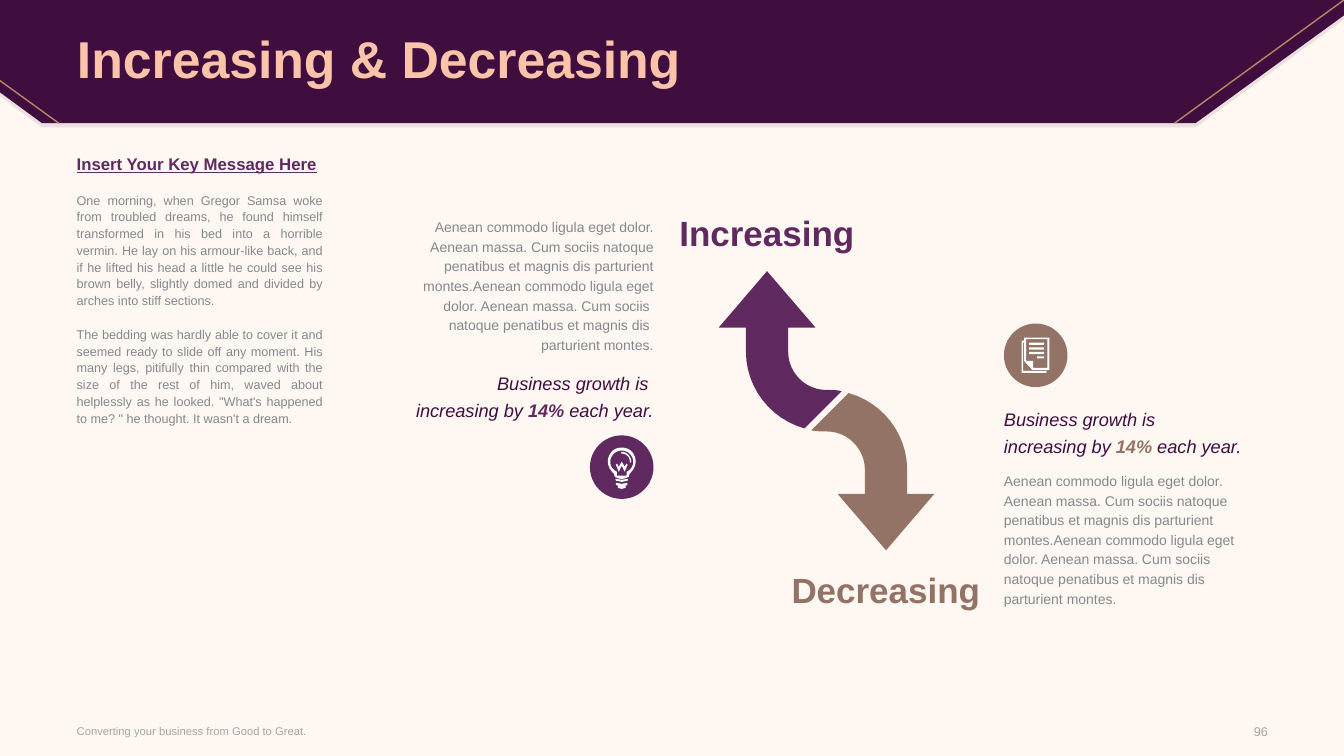
"""Build the Increasing & Decreasing slide."""
from lxml.etree import SubElement
from pptx import Presentation
from pptx.dml.color import RGBColor as RGB
from pptx.enum.shapes import MSO_CONNECTOR as LINE, MSO_SHAPE as SHAPE
from pptx.enum.text import MSO_ANCHOR as ANCHOR, PP_ALIGN as ALIGN
from pptx.oxml.ns import qn
from pptx.util import Pt

COLOR = {
    "cream": "FFF7F2", "deep": "3F0D3E", "plum": "602A60", "brown": "927365",
    "peach": "FBC4AA", "gold": "B98763", "gray": "85898F", "pale": "A6A6A6",
    "white": "FFFFFF",
}
HUE = {name: RGB.from_string(code) for name, code in COLOR.items()}

deck = Presentation()
deck.slide_width, deck.slide_height = Pt(960), Pt(540)
slide = deck.slides.add_slide(deck.slide_layouts[6])
slide.background.fill.solid()
slide.background.fill.fore_color.rgb = HUE["cream"]
shapes = slide.shapes


def draw(paths, hue, axis=None):
    """Fill outlines of points and six-number curves, mirrored at axis if given."""
    build = None
    for path in paths:
        dots = []
        for step in path:
            if len(step) == 2:
                dots.append(step)
                continue
            knots = [dots[-1], step[:2], step[2:4], step[4:]]
            for t in [n / 12 for n in range(1, 13)]:
                parts = ((1 - t) ** 3, 3 * t * (1 - t) ** 2, 3 * t * t * (1 - t), t ** 3)
                dots.append(tuple(sum(w * k[i] for w, k in zip(parts, knots)) for i in (0, 1)))
        if axis:
            dots += [(2 * axis - x, y) for x, y in reversed(dots)]
        dots = [(x * 100, y * 100) for x, y in dots]
        if build:
            build.move_to(*dots[0])
        else:
            build = shapes.build_freeform(*dots[0], scale=Pt(1) / 100)
        build.add_line_segments(dots[1:], close=True)
    shape = build.convert_to_shape()
    shape.shadow.inherit = False
    shape.fill.solid()
    shape.fill.fore_color.rgb = HUE[hue]
    shape.line.fill.background()
    return shape


def write(box, paras, size, hue, align=ALIGN.LEFT, lead=None, gap=0, anchor=ANCHOR.TOP, **style):
    """Set paragraphs of (text, format) runs in a text box."""
    frame = shapes.add_textbox(*map(Pt, box)).text_frame
    frame.word_wrap = True
    frame.vertical_anchor = anchor
    for side in ("left", "top", "right", "bottom"):
        setattr(frame, f"margin_{side}", 0)
    for i, runs in enumerate(paras):
        para = frame.add_paragraph() if i else frame.paragraphs[0]
        para.alignment = align
        para.space_before = Pt(gap if i else 0)
        if lead:
            para.line_spacing = lead
        for text, extra in runs:
            look = {"name": "Arial", "size": Pt(size), "hue": hue, **style, **extra}
            tint = look.pop("hue")
            for j, part in enumerate(text.split("\n")):
                if j:
                    para.add_line_break()
                run = para.add_run()
                run.text = part
                run.font.color.rgb = HUE[tint]
                for key, value in look.items():
                    setattr(run.font, key, value)


band = [(854, 88), (30, 88), (0, 66), (0, 0), (960, 0), (960, 11)]
shade = draw([[(x, y + 3) for x, y in band]], "deep")
tone = shade.fill._xPr.find(qn("a:solidFill"))[0]
SubElement(tone, qn("a:alpha"), val="10000")
draw([band], "deep")
for ends in ((960, 0, 839, 88), (0, 57.6, 42, 88)):
    edge = shapes.add_connector(LINE.STRAIGHT, *map(Pt, ends))
    edge.line.color.rgb = HUE["gold"]
    edge.line.width = Pt(1)
    SubElement(edge._element.spPr, qn("a:effectLst"))

write((55, 2, 850, 84), [[("Increasing & Decreasing", {})]], 37, "peach",
      lead=0.9, anchor=ANCHOR.MIDDLE, bold=True)
story = [
    "One morning, when Gregor Samsa woke from troubled dreams, he found himself "
    "transformed in his bed into a horrible vermin. He lay on his armour-like back, "
    "and if he lifted his head a little he could see his brown belly, slightly domed "
    "and divided by arches into stiff sections.",
    "The bedding was hardly able to cover it and seemed ready to slide off any moment. "
    "His many legs, pitifully thin compared with the size of the rest of him, waved "
    "about helplessly as he looked. \"What's happened to me? \" he thought. "
    "It wasn't a dream.",
]
head = {"size": Pt(12), "hue": "plum", "bold": True, "underline": True}
write((54.8, 112.3, 175.7, 373.7),
      [[("Insert Your Key Message Here", head)]] + [[(text, {})] for text in story],
      9, "gray", ALIGN.JUSTIFY, Pt(12), 12)
write((54.8, 512.7, 376.5, 18.7), [[("Converting your business from Good to Great.", {})]],
      8, "pale", anchor=ANCHOR.MIDDLE)
write((860.4, 513.4, 45.3, 18.7), [[("96", {})]], 9, "pale", ALIGN.RIGHT, anchor=ANCHOR.MIDDLE)

arrow = [
    (601.2, 279.4), (574.6, 306), (550.8, 299.5, 532.8, 277.2, 532.8, 251.3),
    (532.8, 234), (513.4, 234), (547.9, 193.7), (582.5, 234), (563, 234),
    (563, 251.3), (563, 266.4, 575.3, 278.6, 590.4, 278.6),
    (594, 278.6, 597.6, 278.6, 601.2, 279.4),
]
turn = (1180.8, 586.8)
draw([arrow], "plum")
draw([[tuple(turn[i % 2] - v for i, v in enumerate(step)) for step in arrow]], "brown")

body = ("Aenean commodo ligula eget dolor. Aenean massa. Cum sociis natoque penatibus "
        "et magnis dis parturient montes.Aenean commodo ligula eget dolor. Aenean massa. "
        "Cum sociis \nnatoque penatibus et magnis dis \nparturient montes.")
sides = [
    ("Increasing", "plum", (485.3, 151.2), ALIGN.LEFT, (278.8, 154.3), (278.8, 262.8),
     ALIGN.RIGHT, (421.4, 311), "Business growth is "),
    ("Decreasing", "brown", (512, 406.1), ALIGN.RIGHT, (717.1, 335.5), (717.1, 288.4),
     ALIGN.LEFT, (717.1, 231.1), "Business growth is"),
]
for title, hue, top, lean, note, claim, align, disc, lead in sides:
    write((*top, 187.9, 30.2), [[(title, {})]], 25, hue, lean, bold=True)
    write((*note, 187.9, 98.6), [[(body, {})]], 10, "gray", align, Pt(14))
    growth = [("increasing by ", {}), ("14%", {"hue": hue, "bold": True}), (" each year.", {})]
    write((*claim, 187.9, 38.2), [[(lead, {})], growth], 13, "deep", align, Pt(19), italic=True)
    badge = shapes.add_shape(SHAPE.OVAL, *map(Pt, (*disc, 45.4, 45.4)))
    badge.shadow.inherit = False
    badge.fill.solid()
    badge.fill.fore_color.rgb = HUE[hue]
    badge.line.fill.background()

mid = 444.1
bulb = [
    [(mid, 319.7), (438.3, 319.7, 434.2, 324, 434.2, 329.8),
     (434.2, 333.4, 436.3, 336.2, 438.5, 338.4), (439.2, 340.6),
     (440.6, 341.3, 442, 342, mid, 342)],
    [(mid, 321.8), (439.8, 321.8, 435.9, 325.4, 435.9, 329.8),
     (435.9, 333.4, 437.8, 335.5, 440.6, 337), (440.6, 339.8), (mid, 339.8)],
    [(mid, 329.8), (442, 333.4), (440.8, 331.2), (439.9, 331.9), (442, 337), (mid, 332.6)],
    [(mid, 342.7), (439.4, 342), (440, 343.4), (mid, 344.2)],
    [(mid, 345.6), (440, 344.9), (440, 346.3), (441.4, 347), (441.4, 348.5), (mid, 349.2)],
]
draw(bulb, "white", mid)
draw([[(mid, 322.8), (443.5, 323.4), (mid, 324), (447, 324, 449.9, 326.2, 449.9, 329.8),
       (450.4, 330.5), (450.9, 329.8), (450.9, 326.2, 447.8, 322.8, mid, 322.8)]], "white")

page = [
    [(731.5, 241.2), (731.5, 243.4), (729.7, 243.4), (729.7, 266.4), (747.4, 266.4),
     (747.4, 264.2), (749.5, 264.2), (749.5, 241.2)],
    [(747, 265), (730.8, 265), (730.8, 244.8), (731.5, 244.8), (731.5, 257.8),
     (737.3, 264.2), (747, 264.2)],
    [(748.1, 262.8), (738, 262.8), (738, 257.8), (733, 257.8), (733, 242.2), (748.1, 242.2)],
]
for left, top in ((735.1, 244.8), (735.1, 248.2), (735.1, 251.4), (740.9, 254.5)):
    page.append([(left, top), (745.9, top), (745.9, top + 1.5), (left, top + 1.5)])
draw(page, "white")

deck.save("out.pptx")
